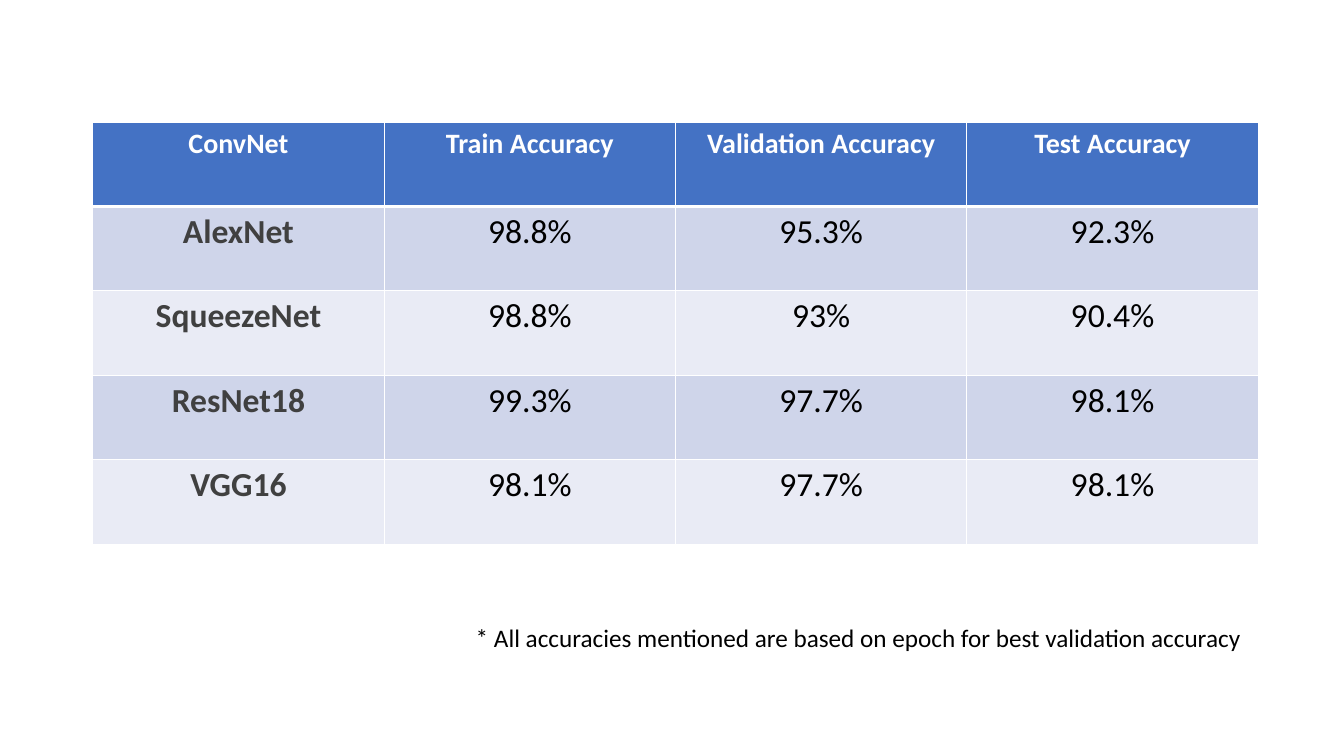
import pptx
import pptx.util
import pptx.dml.color
import pptx.enum.text
import pptx.oxml
import pptx.oxml.ns
from dataclasses import dataclass

Inches = pptx.util.Inches
Pt = pptx.util.Pt


@dataclass(frozen=True)
class Theme:
    font: str = "Calibri"
    white: str = "FFFFFF"
    black: str = "000000"
    gray: str = "404040"
    blue: str = "4472C4"
    bands: tuple = ("CFD5EA", "E9EBF5")
    head: int = 20
    body: int = 24
    note: int = 18
    thin: int = 1
    thick: int = 3


THEME = Theme()

ROWS = (
    ("ConvNet", "Train Accuracy", "Validation Accuracy", "Test Accuracy"),
    ("AlexNet", "98.8%", "95.3%", "92.3%"),
    ("SqueezeNet", "98.8%", "93%", "90.4%"),
    ("ResNet18", "99.3%", "97.7%", "98.1%"),
    ("VGG16", "98.1%", "97.7%", "98.1%"),
)


def color(code):
    return pptx.dml.color.RGBColor.from_string(code)


def write(frame, text, tone, **style):
    run = frame.paragraphs[0].add_run()
    run.text = text
    for key, value in {"name": THEME.font, **style}.items():
        setattr(run.font, key, value)
    run.font.color.rgb = color(tone)


def border(cell, widths):
    props = cell._tc.get_or_add_tcPr()
    for side, width in widths.items():
        props.append(pptx.oxml.parse_xml(
            f'<a:ln{side} {pptx.oxml.ns.nsdecls("a")} w="{Pt(width)}">'
            f'<a:solidFill><a:srgbClr val="{THEME.white}"/></a:solidFill>'
            f'</a:ln{side}>'))


def style(row, col):
    if row == 0:
        return THEME.blue, THEME.white, THEME.head, True
    tone = THEME.gray if col == 0 else THEME.black
    return THEME.bands[(row - 1) % 2], tone, THEME.body, col == 0


def results(slide, left, top, width, height):
    count, span = len(ROWS), len(ROWS[0])
    table = slide.shapes.add_table(
        count, span, Inches(left), Inches(top), Inches(width), Inches(height)).table
    for col in table.columns:
        col.width = Inches(width / span)
    for row in table.rows:
        row.height = Inches(height / count)
    for r, texts in enumerate(ROWS):
        for c, text in enumerate(texts):
            cell = table.cell(r, c)
            fill, tone, size, bold = style(r, c)
            border(cell, {
                "L": THEME.thin,
                "R": THEME.thin,
                "T": THEME.thick if r == 1 else THEME.thin,
                "B": THEME.thick if r == 0 else THEME.thin,
            })
            cell.fill.solid()
            cell.fill.fore_color.rgb = color(fill)
            write(cell.text_frame, text, tone, size=Pt(size), bold=bold)
            cell.text_frame.paragraphs[0].alignment = pptx.enum.text.PP_ALIGN.CENTER


def note(slide, left, top, width, height):
    frame = slide.shapes.add_textbox(
        Inches(left), Inches(top), Inches(width), Inches(height)).text_frame
    frame.word_wrap = True
    frame.auto_size = pptx.enum.text.MSO_AUTO_SIZE.SHAPE_TO_FIT_TEXT
    write(frame, "* All accuracies mentioned are based on epoch for best validation accuracy",
          THEME.black, size=Pt(THEME.note))


def main():
    deck = pptx.Presentation()
    deck.slide_width, deck.slide_height = Inches(13.33), Inches(7.5)
    slide = deck.slides.add_slide(deck.slide_layouts[6])
    results(slide, 0.92, 1.21, 11.56, 4.19)
    note(slide, 4.62, 6.12, 7.86, 0.4)
    deck.save("out.pptx")


if __name__ == "__main__":
    main()
